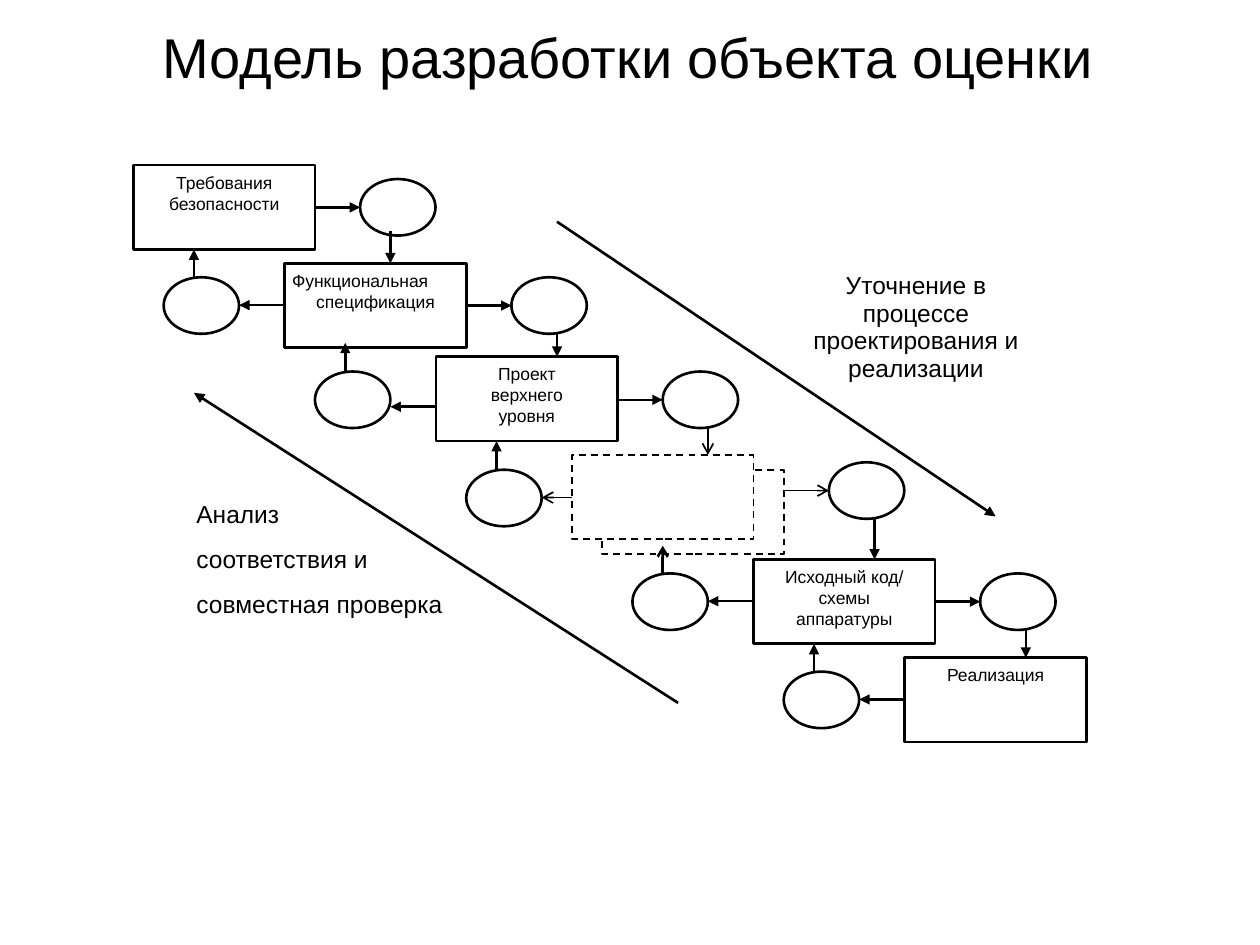
import pptx
import pptx.dml.color
import pptx.enum.dml
import pptx.enum.shapes
import pptx.enum.text
import pptx.oxml.ns
import pptx.util
from lxml import etree
from pptx.util import Cm

FONT = "Arial"
BLACK, WHITE = "000000", "FFFFFF"
LEFT = pptx.enum.text.PP_ALIGN.LEFT
CENTER = pptx.enum.text.PP_ALIGN.CENTER
RECT = pptx.enum.shapes.MSO_SHAPE.RECTANGLE
OVAL = pptx.enum.shapes.MSO_SHAPE.OVAL
NO_STYLE_NO_GRID = "{2D5ABB26-0587-4C30-8999-92F81FD0307C}"

BOX_W, BOX_H = 3.66, 1.7
OVAL_W, OVAL_H = 1.52, 1.14

# Stages: left, top, lines of text, alignment of the first line, side inset
STAGES = [
    (2.69, 3.33, ["Требования", "безопасности"], CENTER, 0.25),
    (5.74, 5.31, ["Функциональная", "спецификация"], LEFT, 0.15),
    (8.79, 7.19, ["Проект", "верхнего", "уровня"], CENTER, 0.25),
    (15.19, 11.28, ["Исходный код/", "схемы", "аппаратуры"], CENTER, 0.25),
    (18.24, 13.26, ["Реализация"], CENTER, 0.25),
]
# Stages left open, back one first
OPEN_STAGES = [(12.14, 9.47), (11.53, 9.17)]

# Refinement steps: source box right, oval left and top, drop x, target box top,
# then (weight, head) of the arrow into the oval and of the arrow out of it
BOLD, THIN, OPEN_BOLD = (1.5, "triangle"), (1, "arrow"), (1.5, "arrow")
REFINEMENT = [
    (6.35, 7.26, 3.61, 7.87, 5.31, BOLD, BOLD),
    (9.4, 10.31, 5.59, 11.23, 7.19, BOLD, BOLD),
    (12.45, 13.36, 7.49, 14.27, 9.17, BOLD, THIN),
    (15.8, 16.71, 9.32, 17.63, 11.28, THIN, BOLD),
    (18.85, 19.76, 11.56, 20.68, 13.26, BOLD, BOLD),
]
# Checking steps: source box left, arrow y, oval left and top, target y, arrows
CHECKING = [
    (5.74, 6.15, 3.3, 5.59, 5.03, BOLD, BOLD),
    (8.79, 8.2, 6.35, 7.49, 6.91, BOLD, BOLD),
    (11.53, 10.03, 9.4, 9.47, 8.89, THIN, BOLD),
    (15.19, 12.12, 12.75, 11.56, 11, (1, "triangle"), OPEN_BOLD),
    (18.24, 14.1, 15.8, 13.54, 12.98, BOLD, BOLD),
]


def color(value):
    return pptx.dml.color.RGBColor.from_string(value)


def write(tf, lines, size, align=CENTER, first_align=None, before=0, inset=0.25):
    tf.word_wrap = True
    tf.margin_left = tf.margin_right = Cm(inset)
    tf.margin_top = tf.margin_bottom = Cm(0.13)
    for i, line in enumerate(lines):
        p = tf.add_paragraph() if i else tf.paragraphs[0]
        p.text = line
        p.alignment = first_align if i == 0 and first_align else align
        if i and before:
            p.space_before = pptx.util.Pt(before)
        p.font.name = FONT
        p.font.size = pptx.util.Pt(size)
        p.font.color.rgb = color(BLACK)


def add_text(s, x, y, w, h, lines, size, **options):
    tf = s.shapes.add_textbox(Cm(x), Cm(y), Cm(w), Cm(h)).text_frame
    write(tf, lines, size, **options)
    return tf


def add_outline(s, kind, x, y, w, h, weight=1.5, dashed=False):
    sp = s.shapes.add_shape(kind, Cm(x), Cm(y), Cm(w), Cm(h))
    sp.shadow.inherit = False
    sp.fill.solid()
    sp.fill.fore_color.rgb = color(WHITE)
    sp.line.color.rgb = color(BLACK)
    sp.line.width = pptx.util.Pt(weight)
    if dashed:
        sp.line.dash_style = pptx.enum.dml.MSO_LINE.DASH
    return sp


def add_stage(s, x, y, lines, first_align, inset):
    tf = add_outline(s, RECT, x, y, BOX_W, BOX_H).text_frame
    tf.vertical_anchor = pptx.enum.text.MSO_ANCHOR.TOP
    write(tf, lines, 10, first_align=first_align, inset=inset)


def add_oval(s, x, y):
    add_outline(s, OVAL, x, y, OVAL_W, OVAL_H)


def add_arrow(s, x1, y1, x2, y2, style=BOLD):
    weight, head = style
    line = s.shapes.add_connector(
        pptx.enum.shapes.MSO_CONNECTOR.STRAIGHT, Cm(x1), Cm(y1), Cm(x2), Cm(y2))
    line.line.color.rgb = color(BLACK)
    line.line.width = pptx.util.Pt(weight)
    qn = pptx.oxml.ns.qn
    etree.SubElement(line.line._get_or_add_ln(), qn("a:tailEnd"), type=head)
    etree.SubElement(line._element.spPr, qn("a:effectLst"))


def add_caption_table(s, x, y, w, h, text):
    table = s.shapes.add_table(1, 1, Cm(x), Cm(y), Cm(w), Cm(h)).table
    table.first_row = table.horz_banding = False
    style = table._tbl.tblPr.find(pptx.oxml.ns.qn("a:tableStyleId"))
    style.text = NO_STYLE_NO_GRID
    cell = table.cell(0, 0)
    cell.fill.background()
    cell.margin_left = cell.margin_right = Cm(0.25)
    cell.margin_top = cell.margin_bottom = Cm(0.13)
    p = cell.text_frame.paragraphs[0]
    p.text = text
    p.alignment = CENTER
    p.font.name = FONT
    p.font.size = pptx.util.Pt(14)
    p.font.color.rgb = color(BLACK)


def main():
    prs = pptx.Presentation()
    prs.slide_width, prs.slide_height = Cm(25.4), Cm(19.05)
    s = prs.slides.add_slide(prs.slide_layouts[6])

    # Title
    tf = add_text(s, 0.41, 0.13, 24.51, 2.01,
                  ["Модель разработки объекта оценки"], 32)
    tf.vertical_anchor = pptx.enum.text.MSO_ANCHOR.MIDDLE

    # Stages of development
    for stage in STAGES:
        add_stage(s, *stage)
    for x, y in OPEN_STAGES:
        add_outline(s, RECT, x, y, BOX_W, BOX_H, weight=1, dashed=True)

    # Refinement: right into the oval, then down to the next stage
    for box_right, x, y, drop_x, target, into, out in REFINEMENT:
        add_oval(s, x, y)
        middle = y + OVAL_H / 2
        add_arrow(s, box_right, middle, x, middle, into)
        start = y + OVAL_H - (0.1 if drop_x - x < OVAL_W / 2 else 0.02)
        add_arrow(s, drop_x, start, drop_x, target, out)

    # Checking: left into the oval, then up to the previous stage
    for box_left, arrow_y, x, y, target, into, out in CHECKING:
        add_oval(s, x, y)
        add_arrow(s, box_left, arrow_y, x + OVAL_W, arrow_y, into)
        rise_x = x + 0.61
        add_arrow(s, rise_x, y, rise_x, target, out)

    # Overall directions
    add_arrow(s, 11.23, 4.47, 20.07, 10.41)
    add_arrow(s, 13.67, 14.17, 3.91, 7.92)

    # Captions
    add_caption_table(s, 15.9, 5.36, 5.13, 3.23,
                      "Уточнение в процессе проектирования и реализации")
    add_text(s, 3.71, 9.93, 6.2, 2.67,
             ["Анализ", "соответствия и", "совместная проверка"],
             14, align=LEFT, before=8.8)

    prs.save("out.pptx")


if __name__ == "__main__":
    main()
